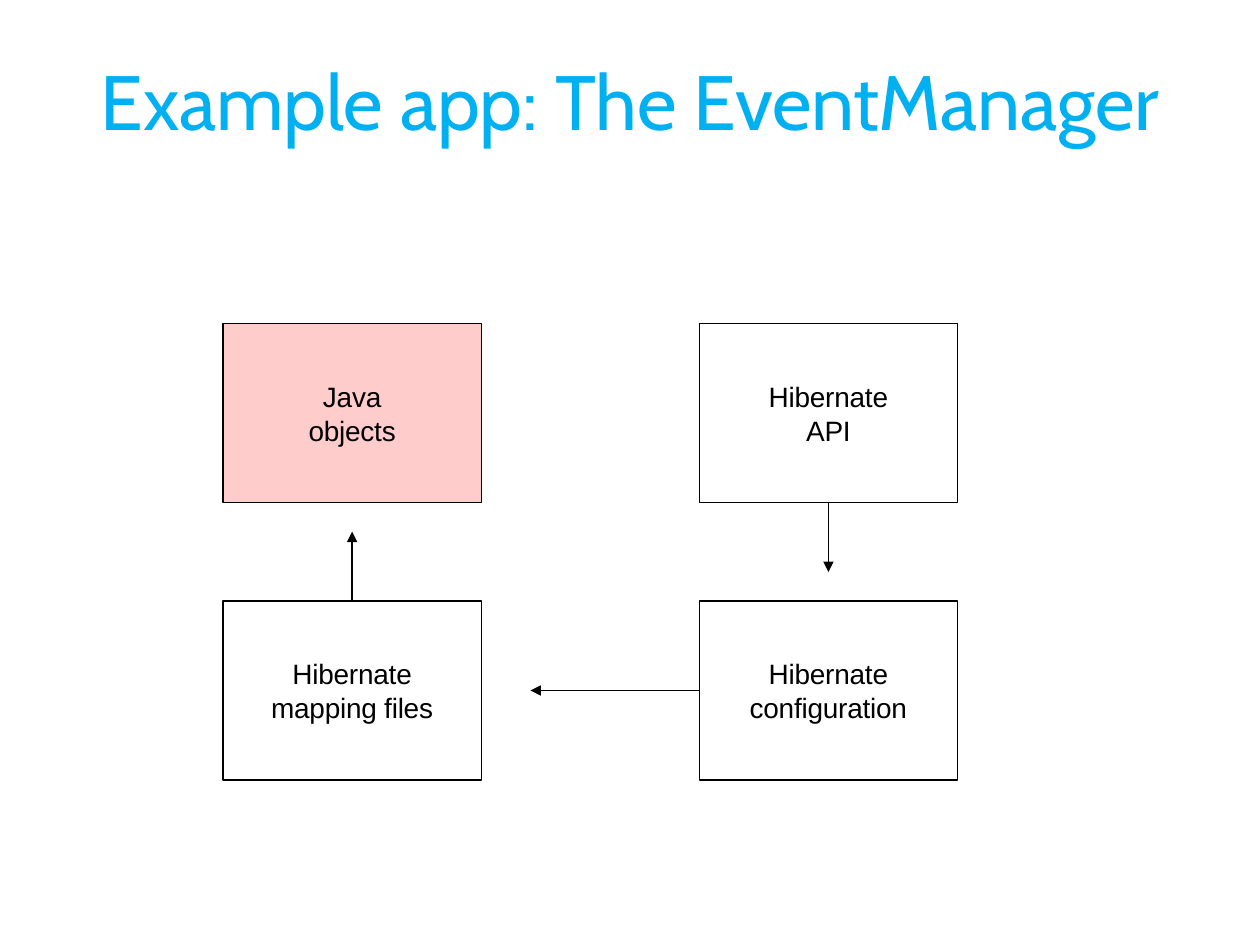
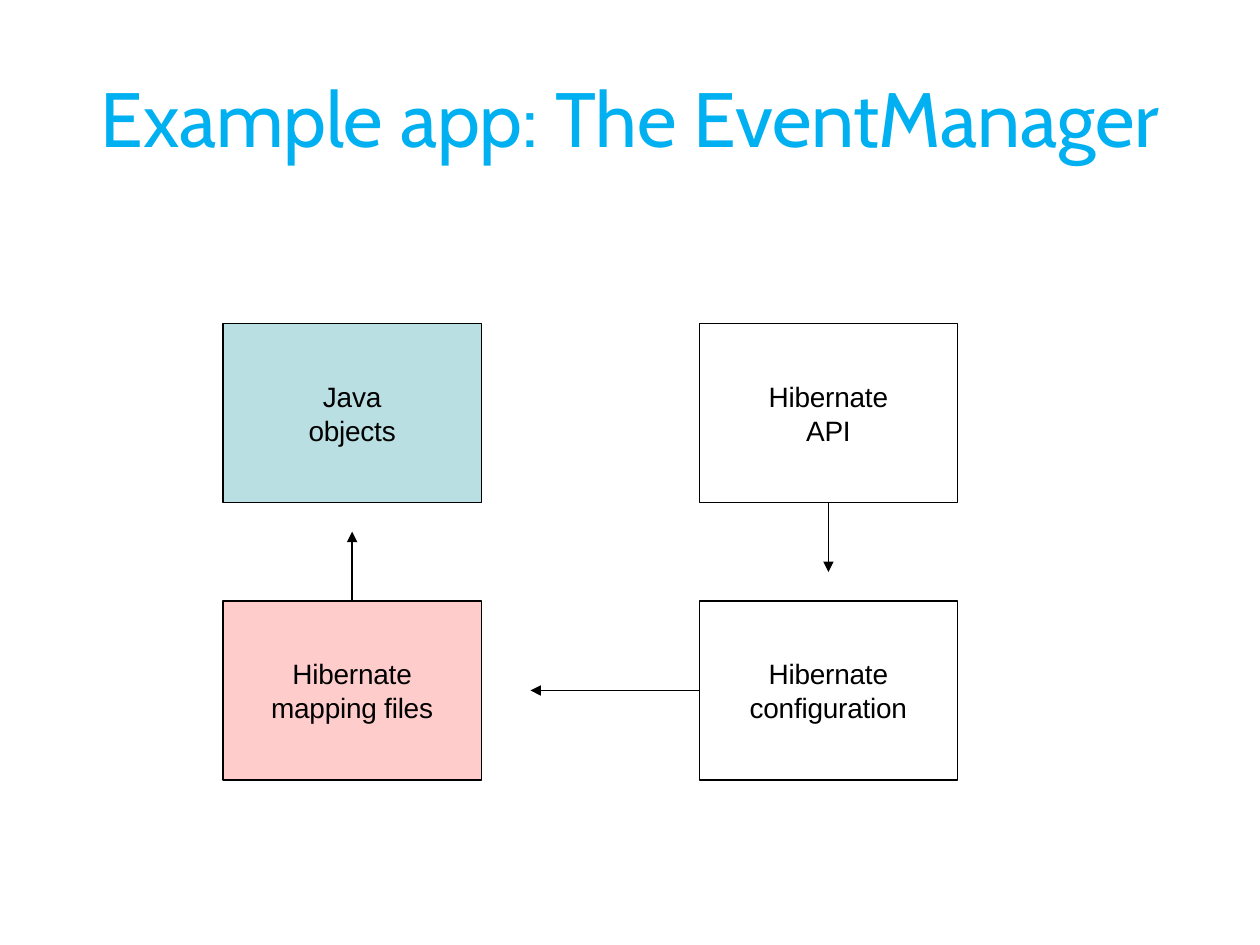
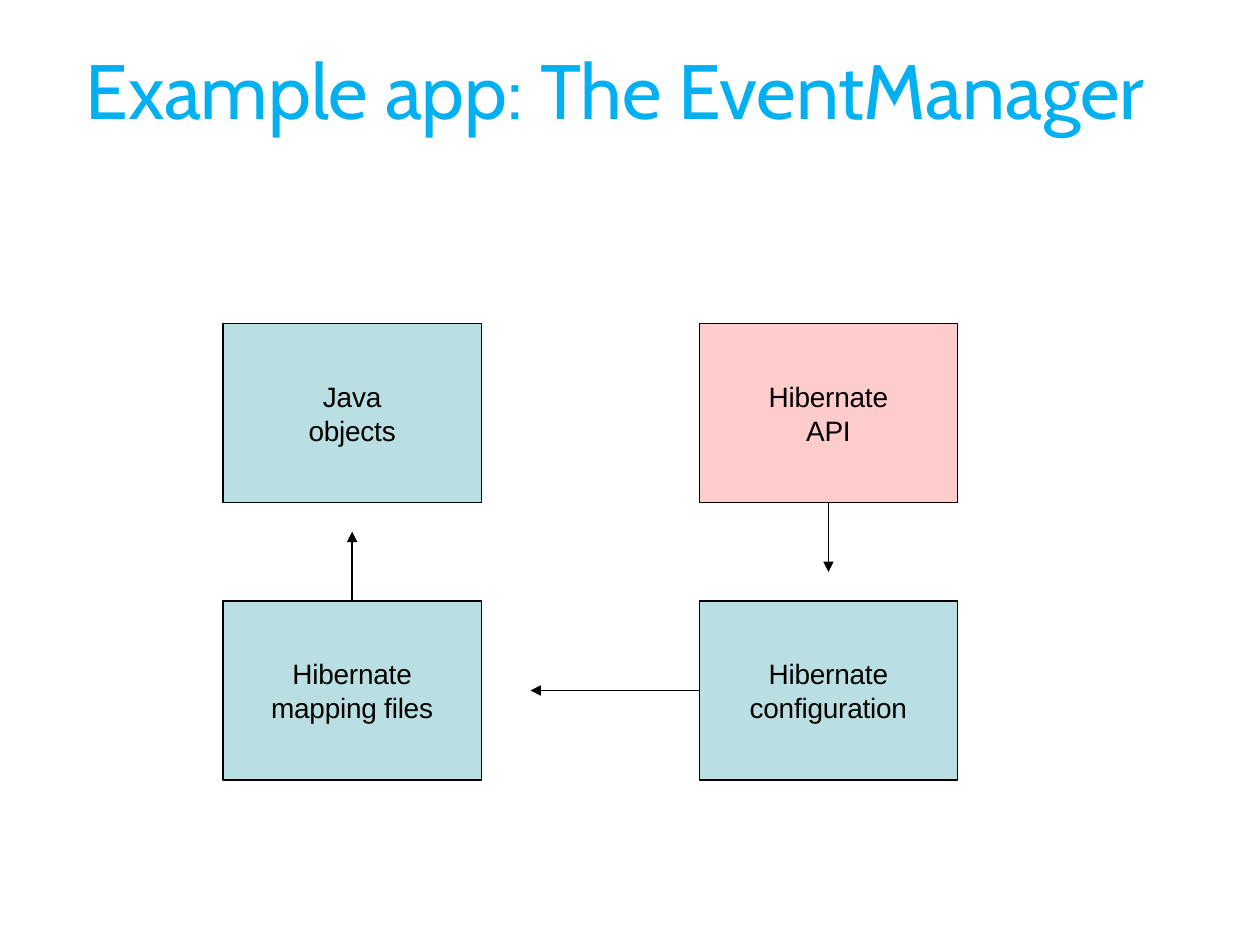
from lxml.etree import SubElement
from pptx import Presentation
from pptx.dml.color import RGBColor
from pptx.enum.shapes import MSO_CONNECTOR, MSO_SHAPE
from pptx.enum.text import MSO_ANCHOR, MSO_AUTO_SIZE, PP_ALIGN
from pptx.oxml.ns import qn
from pptx.util import Inches, Pt

BLACK = RGBColor(0x00, 0x00, 0x00)
TITLE_BLUE = RGBColor(0x00, 0xB0, 0xF0)
CURRENT_PINK = RGBColor(0xFF, 0xCC, 0xCC)
DONE_TEAL = RGBColor(0xBA, 0xDF, 0xE2)

TITLE_ONLY = 5
TITLE = "Example app: The EventManager"
TITLE_WIDTH, TITLE_HEIGHT = 9, 0.74

GRID_LEFT, GRID_TOP = 1.77, 2.57
COLUMN_STEP, ROW_STEP = 3.78, 2.2
BOX_WIDTH, BOX_HEIGHT = 2.05, 1.42

# Each part of the app: its lines of text, grid column and grid row
PARTS = {
    "objects": (("Java", "objects"), 0, 0),
    "mapping": (("Hibernate", "mapping files"), 0, 1),
    "configuration": (("Hibernate", "configuration"), 1, 1),
    "api": (("Hibernate", "API"), 1, 0),
}

# Each arrow: the part it leaves, the side (0 top, 1 left, 2 bottom), its reach
ARROWS = [
    ("mapping", 0, 0.55),
    ("configuration", 1, 1.34),
    ("api", 2, 0.55),
]

# Each slide: title left and top, the current part, the parts already done
STEPS = [
    (0.5, 0.42, "objects", ()),
    (0.5, 0.56, "mapping", ("objects",)),
    (0.38, 0.33, "api", ("objects", "mapping", "configuration")),
]


def write_lines(shape, lines, font_name, size, color):
    """Fill a shape with centred lines, without margins."""
    frame = shape.text_frame
    frame.word_wrap = True
    frame.auto_size = MSO_AUTO_SIZE.NONE
    frame.vertical_anchor = MSO_ANCHOR.MIDDLE
    frame.margin_left = frame.margin_right = 0
    frame.margin_top = frame.margin_bottom = 0
    para = frame.paragraphs[0]
    para.alignment = PP_ALIGN.CENTER
    for index, line in enumerate(lines):
        if index:
            para.add_line_break()
        span = para.add_run()
        span.text = line
        span.font.name = font_name
        span.font.size = Pt(size)
        span.font.color.rgb = color
        span.font._element.set("spc", "-10")


def place_title(page, left, top):
    title = page.shapes.title
    title.left, title.top = Inches(left), Inches(top)
    title.width, title.height = Inches(TITLE_WIDTH), Inches(TITLE_HEIGHT)
    write_lines(title, [TITLE], "Cabin", 44, TITLE_BLUE)


def add_part(page, lines, column, row, fill):
    box = page.shapes.add_shape(
        MSO_SHAPE.RECTANGLE,
        Inches(GRID_LEFT + column * COLUMN_STEP),
        Inches(GRID_TOP + row * ROW_STEP),
        Inches(BOX_WIDTH),
        Inches(BOX_HEIGHT),
    )
    box.shadow.inherit = False
    if fill is None:
        box.fill.background()
    else:
        box.fill.solid()
        box.fill.fore_color.rgb = fill
    box.line.color.rgb = BLACK
    box.line.width = Pt(0.75)
    write_lines(box, lines, "Arial", 16, BLACK)
    return box


def add_arrow(page, box, side, reach):
    """Draw an arrow straight out from the middle of a side of the box."""
    middle, centre = box.left + box.width // 2, box.top + box.height // 2
    x, y, right, down = {
        0: (middle, box.top, 0, -1),
        1: (box.left, centre, -1, 0),
        2: (middle, box.top + box.height, 0, 1),
    }[side]
    length = Inches(reach)
    arrow = page.shapes.add_connector(
        MSO_CONNECTOR.STRAIGHT, x, y, x + right * length, y + down * length
    )
    arrow.begin_connect(box, side)
    arrow.line.color.rgb = BLACK
    arrow.line.width = Pt(1)
    SubElement(arrow.line._get_or_add_ln(), qn("a:tailEnd"), type="triangle")
    SubElement(arrow._element.spPr, qn("a:effectLst"))


def add_step(deck, left, top, current, done):
    page = deck.slides.add_slide(deck.slide_layouts[TITLE_ONLY])
    place_title(page, left, top)
    fills = {part: DONE_TEAL for part in done}
    fills[current] = CURRENT_PINK
    boxes = {
        part: add_part(page, lines, column, row, fills.get(part))
        for part, (lines, column, row) in PARTS.items()
    }
    for part, side, reach in ARROWS:
        add_arrow(page, boxes[part], side, reach)


def main():
    deck = Presentation()
    deck.slide_width, deck.slide_height = Inches(10), Inches(7.5)
    for step in STEPS:
        add_step(deck, *step)
    deck.save("out.pptx")


if __name__ == "__main__":
    main()
